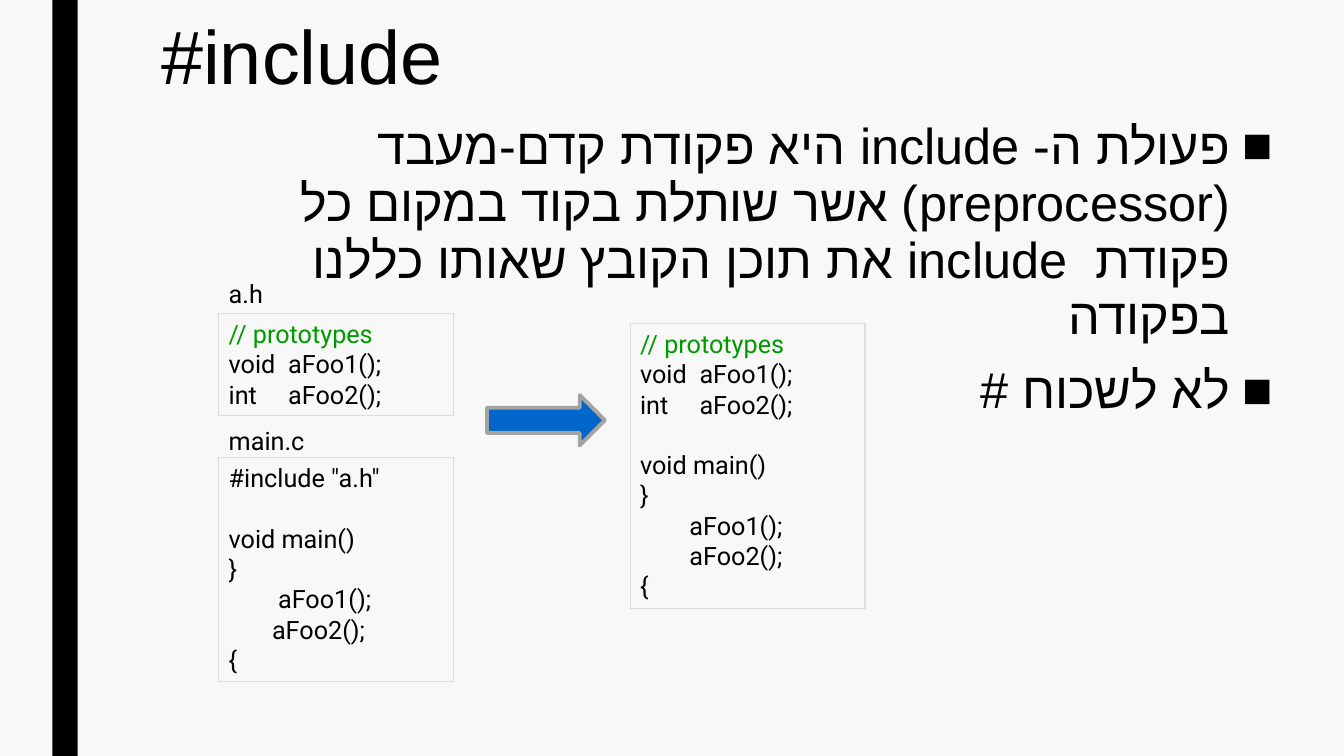
from lxml.etree import SubElement
from pptx import Presentation
from pptx.dml.color import RGBColor
from pptx.enum.shapes import MSO_SHAPE
from pptx.enum.text import MSO_ANCHOR, PP_ALIGN
from pptx.oxml.ns import qn
from pptx.util import Inches, Pt

BLACK, GREEN, BLUE = "000000", "009900", "0066CC"
GRAY, PALE, BACKGROUND = "A3A3A3", "DDDDDD", "F8F8F8"
CODE_LINE = 21.6
CODE_WIDTH = 2.33

PROTOTYPES = [
    ("// prototypes", 0, 0),
    ("void\taFoo1();", 0, 0),
    ("int\taFoo2();", 0, 0),
]


def main_lines(first_indent, second_indent):
    return [
        ("void main()", 0, 1),
        ("}", 0, 0),
        ("aFoo1();", first_indent, 0),
        ("aFoo2();", second_indent, 0),
        ("{", 0, 0),
    ]


def color(value):
    return RGBColor.from_string(value)


def format_text(p, font, size, rgb=BLACK):
    for r in p.runs:
        r.font.name = font
        r.font.size = Pt(size)
        r.font.color.rgb = color(rgb)
        SubElement(r.font._element, qn("a:cs"), typeface=font)


def add_text(s, box, text, font, size):
    sp = s.shapes.add_textbox(*map(Inches, box))
    tf = sp.text_frame
    tf.word_wrap = True
    tf.text = text
    format_text(tf.paragraphs[0], font, size)
    return tf


def add_block(s, kind, box, fill=None, line=None, width=0.75):
    sp = s.shapes.add_shape(kind, *map(Inches, box))
    sp.shadow.inherit = False
    if fill:
        sp.fill.solid()
        sp.fill.fore_color.rgb = color(fill)
    else:
        sp.fill.background()
    if line:
        sp.line.color.rgb = color(line)
        sp.line.width = Pt(width)
    else:
        sp.line.fill.background()
    return sp


def add_title(s, box, text):
    tf = add_text(s, box, text, "Arial", 54)
    tf.paragraphs[0].line_spacing = 0.89


def add_bullets(s, box, items):
    tf = add_text(s, box, "\n".join(items), "Arial", 36)
    for p in tf.paragraphs:
        format_text(p, "Arial", 36)
        p.alignment = PP_ALIGN.RIGHT
        p.line_spacing = 0.94
        p.space_before = Pt(10)
        p.space_after = Pt(2)
        pPr = p._p.get_or_add_pPr()
        pPr.set("rtl", "1")
        pPr.set("marL", str(Inches(0.42)))
        pPr.set("indent", str(Inches(-0.42)))
        SubElement(pPr, qn("a:buFont"), typeface="Arial")
        SubElement(pPr, qn("a:buChar"), char="■")


def add_code(s, box, lines):
    tf = add_block(s, MSO_SHAPE.RECTANGLE, box, line=PALE).text_frame
    tf.word_wrap = True
    tf.vertical_anchor = MSO_ANCHOR.TOP
    tf.text = "\n".join(text for text, indent, gap in lines)
    for p, (text, indent, gap) in zip(tf.paragraphs, lines):
        format_text(p, "Roboto", 18, GREEN if text.startswith("//") else BLACK)
        p.alignment = PP_ALIGN.LEFT
        p.space_before = Pt(gap * CODE_LINE)
        pPr = p._p.get_or_add_pPr()
        pPr.set("marL", str(Inches(indent)))
        if "\t" in text:
            tabs = SubElement(pPr, qn("a:tabLst"))
            SubElement(tabs, qn("a:tab"), pos=str(Inches(0.59)), algn="l")


def add_file(s, box, name, lines, label_top):
    add_code(s, box, lines)
    add_text(s, (box[0], label_top, 1.58, 0.4), name, "Roboto", 18)


def build_slide(prs):
    s = prs.slides.add_slide(prs.slide_layouts[6])
    s.background.fill.solid()
    s.background.fill.fore_color.rgb = color(BACKGROUND)
    add_block(s, MSO_SHAPE.RECTANGLE, (0.52, 0, 0.25, 7.5), BLACK)
    add_title(s, (1.5, 0.15, 11.22, 1.13), "#include")
    add_bullets(s, (1.5, 1.13, 11.22, 6.37), [
        "פעולת ה- include היא פקודת קדם-מעבד (preprocessor) אשר שותלת בקוד "
        "במקום כל פקודת  include את תוכן הקובץ שאותו כללנו בפקודה",
        "לא לשכוח #",
    ])
    add_file(s, (2.17, 3.11, CODE_WIDTH, 1.01), "a.h", PROTOTYPES, 2.71)
    include = [('#include "a.h"', 0, 0)]
    add_file(s, (2.17, 4.54, CODE_WIDTH, 2.22), "main.c",
             include + main_lines(0.49, 0.43), 4.17)
    add_code(s, (6.25, 3.21, CODE_WIDTH, 2.83),
             PROTOTYPES + main_lines(0.49, 0.49))
    add_block(s, MSO_SHAPE.RIGHT_ARROW, (4.83, 3.92, 1.17, 0.5),
              BLUE, GRAY, 2.75)


def main():
    prs = Presentation()
    prs.slide_width = Inches(13.33)
    prs.slide_height = Inches(7.5)
    build_slide(prs)
    prs.save("out.pptx")


if __name__ == "__main__":
    main()
